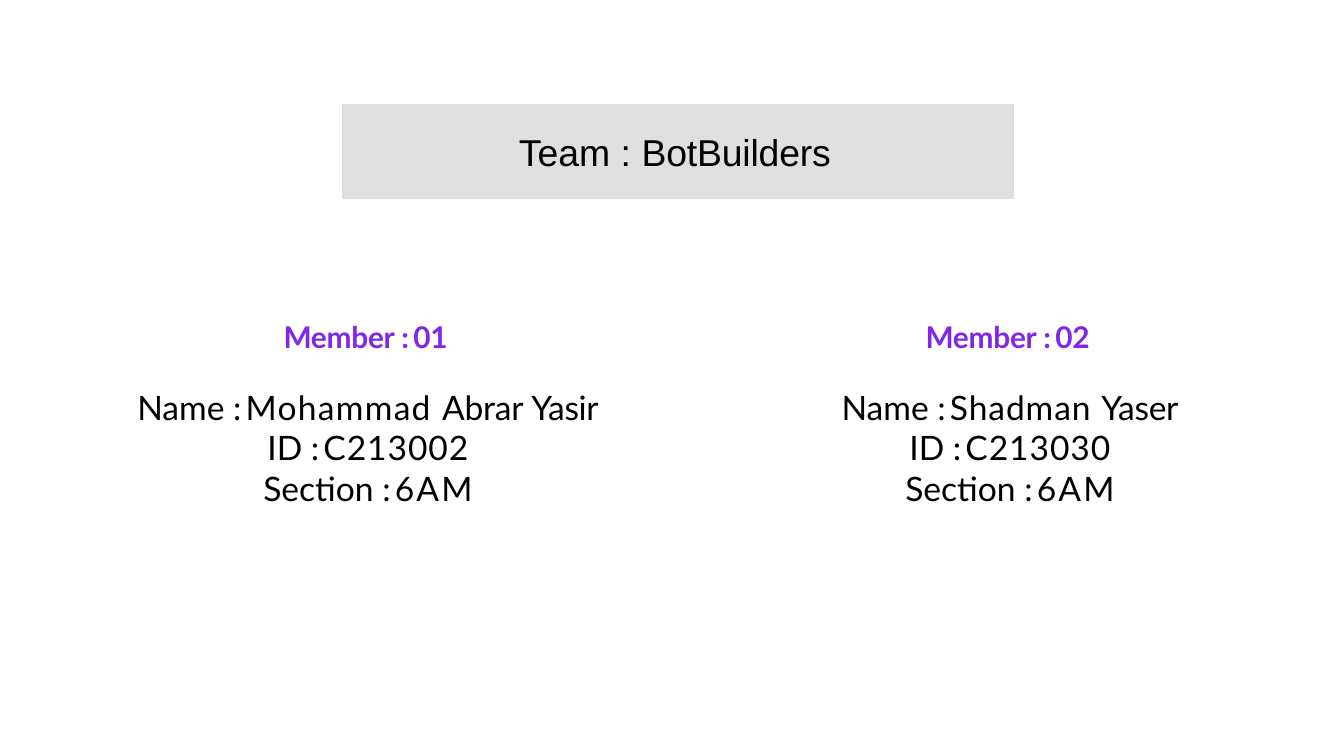
import pptx
import pptx.dml.color
import pptx.enum.shapes
import pptx.enum.text
import pptx.util

# Content: each line is a list of (text, letter spacing in points)
TITLE = [[("Team : ", 0), ("BotBuilders", -0.1)]]
MEMBERS = [
    {"number": "01", "center": 368, "width": 473, "id": "C213002",
     "name": [("Mohammad ", 0.7), ("Abrar ", -0.1), ("Yasir", -0.2)]},
    {"number": "02", "center": 1010, "width": 352, "id": "C213030",
     "name": [("Shadman ", 0.5), ("Yaser", -0.2)]},
]

COLORS = {"panel": "DFDFDF", "border": "FFFFFF", "heading": "8027EA", "body": "000000"}
ALIGN = pptx.enum.text.PP_ALIGN
STYLES = {
    "title": {"name": "Arial", "size": pptx.util.Pt(20), "bold": False},
    "heading": {"name": "Lato", "size": pptx.util.Pt(16), "bold": True},
    "details": {"name": "Lato", "size": pptx.util.Pt(18), "bold": False},
}

# Layout in px
SLIDE = (1344, 756)
PANEL = (340, 102, 676, 99)
HEADING_TOP, HEADING_WIDTH, HEADING_HEIGHT = 318, 173, 39
DETAILS_TOP, DETAILS_HEIGHT = 386, 125
EMU_PER_PX = 914400 / 134.4


def px(*lengths):
    return [pptx.util.Emu(round(length * EMU_PER_PX)) for length in lengths]


def rgb(name):
    return pptx.dml.color.RGBColor.from_string(COLORS[name])


def write(shape, lines, style, color, align, left=0, top=1):
    frame = shape.text_frame
    margin_left, margin_top = px(left, top)
    settings = {
        "word_wrap": True, "vertical_anchor": pptx.enum.text.MSO_ANCHOR.TOP,
        "margin_left": margin_left, "margin_top": margin_top,
        "margin_right": 0, "margin_bottom": 0,
    }
    for key, value in settings.items():
        setattr(frame, key, value)
    for index, line in enumerate(lines):
        paragraph = frame.add_paragraph() if index else frame.paragraphs[0]
        paragraph.alignment = align
        for text, spacing in line:
            run = paragraph.add_run()
            run.text = text
            for key, value in STYLES[style].items():
                setattr(run.font, key, value)
            run.font.color.rgb = rgb(color)
            run.font._element.set("spc", str(round(spacing * 100)))


presentation = pptx.Presentation()
presentation.slide_width, presentation.slide_height = px(*SLIDE)
slide = presentation.slides.add_slide(presentation.slide_layouts[6])

# Team panel
panel = slide.shapes.add_shape(pptx.enum.shapes.MSO_SHAPE.RECTANGLE, *px(*PANEL))
panel.shadow.inherit = False
panel.fill.solid()
panel.fill.fore_color.rgb = rgb("panel")
panel.line.color.rgb = rgb("border")
panel.line.width = pptx.util.Pt(2)
write(panel, TITLE, "title", "body", ALIGN.LEFT, left=179, top=27)

# Member columns: a heading above centred details
for member in MEMBERS:
    heading = slide.shapes.add_textbox(*px(
        member["center"] - HEADING_WIDTH / 2, HEADING_TOP, HEADING_WIDTH, HEADING_HEIGHT))
    heading_line = [("Member ", -0.1), (": ", -1.5), (member["number"], -0.2)]
    write(heading, [heading_line], "heading", "heading", ALIGN.LEFT, left=2)

    details = slide.shapes.add_textbox(*px(
        member["center"] - member["width"] / 2, DETAILS_TOP, member["width"], DETAILS_HEIGHT))
    fields = [("Name ", member["name"]), ("ID ", [(member["id"], 0.5)]),
              ("Section ", [("6AM", 1.2)])]
    detail_lines = [[(label, 0), (": ", -2.4), *value] for label, value in fields]
    write(details, detail_lines, "details", "body", ALIGN.CENTER)

presentation.save("out.pptx")
